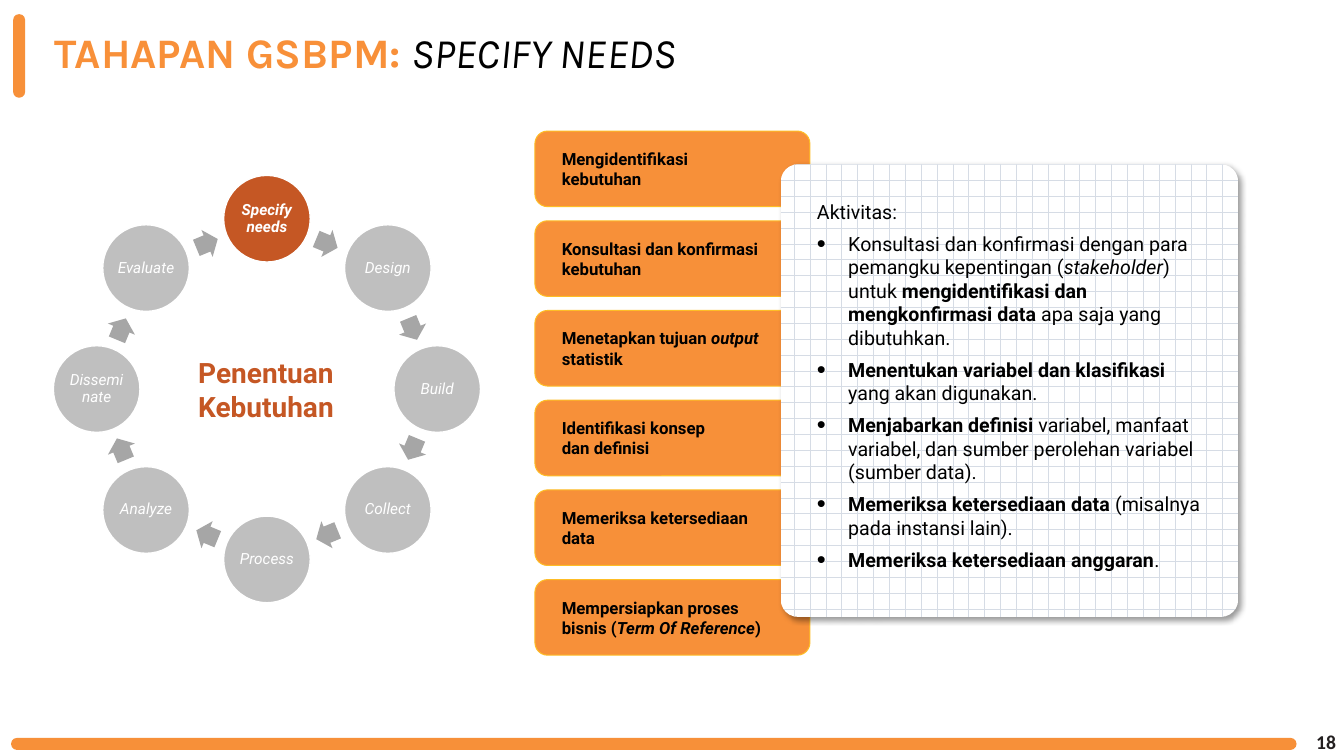
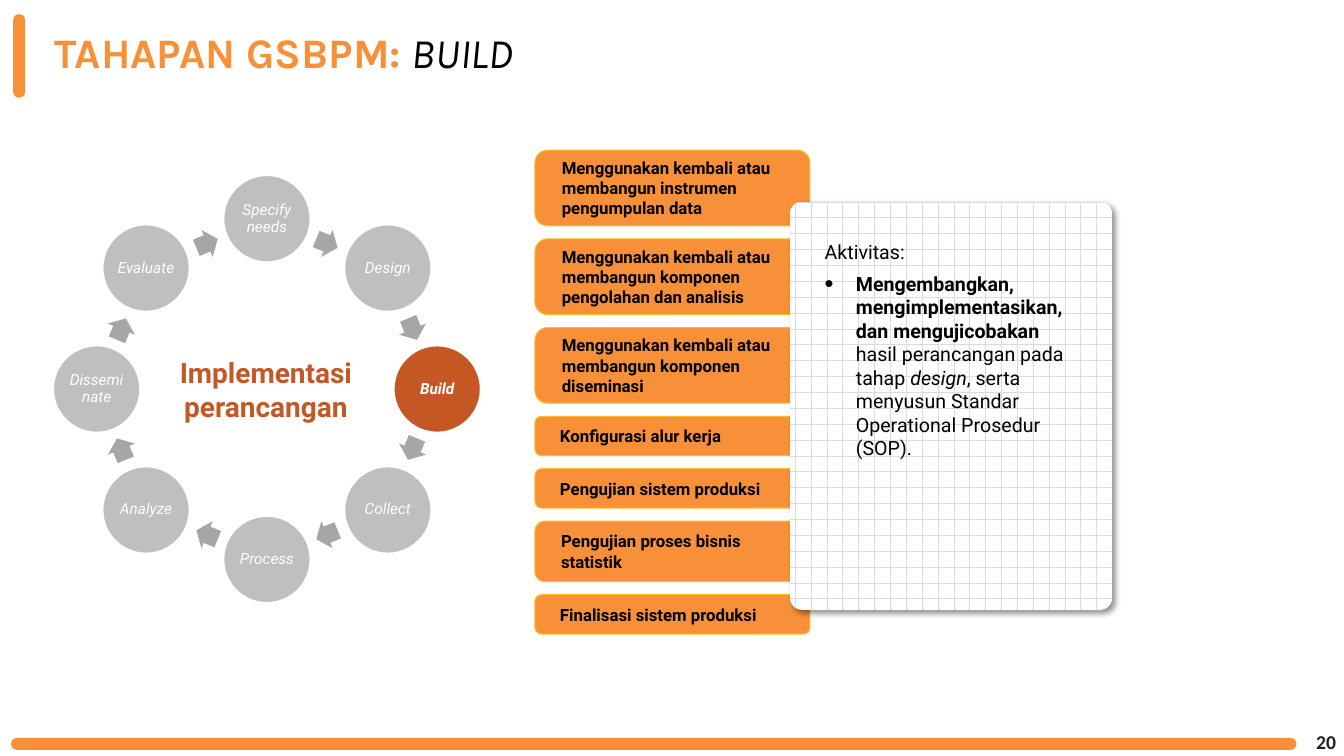
from dataclasses import dataclass
from math import cos, radians, sin
from typing import NamedTuple

from lxml.etree import SubElement
from pptx import Presentation
from pptx.dml.color import RGBColor
from pptx.enum.dml import MSO_PATTERN
from pptx.enum.shapes import MSO_SHAPE as Preset
from pptx.enum.text import MSO_ANCHOR as Anchor, MSO_AUTO_SIZE as AutoSize, PP_ALIGN as Align
from pptx.oxml.ns import qn
from pptx.util import Pt

PX = 9144  # EMU in one px, 100 px to the inch

ORANGE, TITLE_ORANGE, GOLD, RUST = "F79039", "F89039", "FEBD26", "C55724"
CIRCLE_GREY, ARROW_GREY, GRID_GREY = "BFBFBF", "A6A6A6", "D6DCE5"
WHITE, BLACK, INK = "FFFFFF", "000000", "231F20"
BODY_FONT, TITLE_FONT, NUMBER_FONT = "Roboto", "Karla", "Calibri"

PHASES = ["Specify needs", "Design", "Build", "Collect",
          "Process", "Analyze", "Disseminate", "Evaluate"]


class Box(NamedTuple):
    left: int
    top: int
    width: int
    height: int


class Run(NamedTuple):
    text: str
    bold: bool = False
    italic: bool = False


Line = list[Run]


class Stage(NamedTuple):
    lines: list[Line]
    height: int = 75


@dataclass
class PhasePage:
    phase: str
    meaning: str
    number: str
    stages_top: int
    stages_gap: int
    stages: list[Stage]
    panel: Box
    panel_inset_top: int
    activities: list[Line]


def bold(text: str) -> Run:
    return Run(text, bold=True)


def bold_lines(*texts: str) -> list[Line]:
    return [[bold(text)] for text in texts]


def colour(value: str) -> RGBColor:
    return RGBColor.from_string(value)


def emu(box: Box) -> list[int]:
    return [length * PX for length in box]


# Text and shape helpers
def set_frame(shape, insets: tuple[int, int, int, int] = (10, 5, 10, 5), anchor=Anchor.MIDDLE):
    frame = shape.text_frame
    frame.word_wrap = True
    frame.auto_size = AutoSize.NONE
    frame.vertical_anchor = anchor
    (frame.margin_left, frame.margin_top,
     frame.margin_right, frame.margin_bottom) = (inset * PX for inset in insets)
    return frame


def write_lines(frame, lines: list[Line], size: int, text_colour: str = BLACK,
                font: str = BODY_FONT, align=Align.LEFT) -> None:
    for index, line in enumerate(lines):
        paragraph = frame.add_paragraph() if index else frame.paragraphs[0]
        paragraph.alignment = align
        for part in line:
            run = paragraph.add_run()
            run.text = part.text
            run.font.name = font
            run.font.size = Pt(size)
            run.font.bold = part.bold
            run.font.italic = part.italic
            run.font.color.rgb = colour(text_colour)


def add_preset(slide, preset, box: Box, fill: str, adjust: tuple[float, ...] = (),
               line: str = "", line_width: float = 1):
    shape = slide.shapes.add_shape(preset, *emu(box))
    shape.shadow.inherit = False
    shape.fill.solid()
    shape.fill.fore_color.rgb = colour(fill)
    for index, value in enumerate(adjust):
        shape.adjustments[index] = value
    if line:
        shape.line.color.rgb = colour(line)
        shape.line.width = Pt(line_width)
    else:
        shape.line.fill.background()
    return shape


def add_bullet(paragraph) -> None:
    properties = paragraph._p.get_or_add_pPr()
    properties.set("marL", str(31 * PX))
    properties.set("indent", str(-31 * PX))
    bullet_colour = SubElement(properties, qn("a:buClr"))
    SubElement(bullet_colour, qn("a:srgbClr"), val=BLACK)
    SubElement(properties, qn("a:buSzPct"), val="130000")
    SubElement(properties, qn("a:buFont"), typeface="Arial")
    SubElement(properties, qn("a:buChar"), char="•")


def add_soft_shadow(shape) -> None:
    effects = shape.element.spPr.find(qn("a:effectLst"))
    shadow = SubElement(effects, qn("a:outerShdw"), blurRad=str(Pt(4)), dist=str(Pt(3)),
                        dir=str(45 * 60000), algn="tl", rotWithShape="0")
    tint = SubElement(shadow, qn("a:srgbClr"), val=BLACK)
    SubElement(tint, qn("a:alpha"), val="40000")


# Parts of the slides
def move_bands_to_layout(slide) -> None:
    for box in (Box(11, 732, 1276, 12), Box(13, 14, 12, 83)):
        band = add_preset(slide, Preset.ROUNDED_RECTANGLE, box, ORANGE, (0.5,))
        slide.slide_layout.shapes.element.append(band.element)


def write_title(slide, phase: str) -> None:
    title = slide.shapes.title
    title.left, title.top, title.width, title.height = emu(Box(44, 22, 1130, 59))
    frame = set_frame(title)
    write_lines(frame, [[bold("TAHAPAN GSBPM: "), Run(phase.upper(), italic=True)]],
                30, font=TITLE_FONT)
    frame.paragraphs[0].runs[0].font.color.rgb = colour(TITLE_ORANGE)


def add_label(slide, box: Box, text: str, size: int, text_colour: str,
              font: str, align) -> None:
    label = slide.shapes.add_textbox(*emu(box))
    write_lines(set_frame(label), [[bold(text)]], size, text_colour, font, align)


def around(angle: float, radius: int, width: int, height: int) -> Box:
    """Box centred on the cycle's ring, with the angle clockwise from the top."""
    x = 265 + radius * sin(radians(angle))
    y = 386 - radius * cos(radians(angle))
    return Box(round(x - width / 2), round(y - height / 2), width, height)


def add_cycle(slide, page: PhasePage) -> None:
    step = 360 / len(PHASES)
    for index, phase in enumerate(PHASES):
        current = phase == page.phase
        circle = add_preset(slide, Preset.OVAL, around(index * step, 169, 86, 86),
                            RUST if current else CIRCLE_GREY, line=WHITE)
        frame = set_frame(circle, (2, 2, 2, 2))
        write_lines(frame, [[Run(phase, current, True)]], 11, WHITE, align=Align.CENTER)
        frame.paragraphs[0].line_spacing = 0.9

        heading = (index + 0.5) * step
        arrow = add_preset(slide, Preset.RIGHT_ARROW, around(heading, 156, 23, 29),
                           ARROW_GREY, (0.6, 0.5))
        arrow.rotation = heading
    add_label(slide, Box(142, 347, 244, 78), page.meaning, 20, RUST, BODY_FONT, Align.CENTER)


def add_stages(slide, page: PhasePage) -> None:
    top = page.stages_top
    for stage in page.stages:
        card = add_preset(slide, Preset.ROUNDED_RECTANGLE, Box(531, top, 273, stage.height),
                          ORANGE, (0.167,), GOLD, 0.75)
        write_lines(set_frame(card, (23, 0, 24, 0)), stage.lines, 12)
        top += stage.height + page.stages_gap


def add_activities(slide, page: PhasePage) -> None:
    panel = add_preset(slide, Preset.ROUNDED_RECTANGLE, page.panel, WHITE, (0.038,))
    panel.fill.patterned()
    panel.fill.pattern = MSO_PATTERN.DOTTED_GRID
    panel.fill.fore_color.rgb = colour(GRID_GREY)
    panel.fill.back_color.rgb = colour(WHITE)
    add_soft_shadow(panel)
    frame = set_frame(panel, (31, page.panel_inset_top, 30, 5), Anchor.TOP)
    write_lines(frame, [[Run("Aktivitas:")], *page.activities], 14)
    for index, paragraph in enumerate(frame.paragraphs):
        if index:
            add_bullet(paragraph)
        paragraph.space_after = Pt(6)


# Content
PAGES = [
    PhasePage(
        "Specify needs", "Penentuan Kebutuhan", "18", stages_top=130, stages_gap=14,
        stages=[
            Stage(bold_lines("Mengidentifikasi", "kebutuhan")),
            Stage(bold_lines("Konsultasi dan konfirmasi kebutuhan")),
            Stage([[bold("Menetapkan tujuan "), Run("output ", True, True), bold("statistik")]]),
            Stage(bold_lines("Identifikasi konsep", "dan definisi")),
            Stage(bold_lines("Memeriksa ketersediaan data")),
            Stage([[bold("Mempersiapkan proses bisnis ("),
                    Run("Term Of Reference", True, True), bold(")")]]),
        ],
        panel=Box(775, 163, 454, 449), panel_inset_top=30,
        activities=[
            [Run("Konsultasi dan konfirmasi dengan para pemangku kepentingan ("),
             Run("stakeholder", italic=True), Run(") untuk "),
             bold("mengidentifikasi dan mengkonfirmasi data"),
             Run(" apa saja yang dibutuhkan.")],
            [bold("Menentukan variabel dan klasifikasi "), Run("yang akan digunakan.")],
            [bold("Menjabarkan definisi "),
             Run("variabel, manfaat variabel, dan sumber perolehan variabel (sumber data).")],
            [bold("Memeriksa ketersediaan data "), Run("(misalnya pada instansi lain).")],
            [bold("Memeriksa ketersediaan anggaran"), Run(".")],
        ]),
    PhasePage(
        "Build", "Implementasi perancangan", "20", stages_top=149, stages_gap=13,
        stages=[
            Stage(bold_lines("Menggunakan kembali atau membangun instrumen pengumpulan data")),
            Stage(bold_lines(
                "Menggunakan kembali atau membangun komponen pengolahan dan analisis")),
            Stage(bold_lines("Menggunakan kembali atau membangun komponen diseminasi")),
            Stage(bold_lines("Konfigurasi alur kerja"), 39),
            Stage(bold_lines("Pengujian sistem produksi"), 39),
            Stage(bold_lines("Pengujian proses bisnis statistik"), 60),
            Stage(bold_lines("Finalisasi sistem produksi"), 39),
        ],
        panel=Box(784, 200, 320, 405), panel_inset_top=34,
        activities=[
            [bold("Mengembangkan, mengimplementasikan, dan mengujicobakan "),
             Run("hasil perancangan pada tahap "), Run("design", italic=True),
             Run(", serta menyusun Standar Operational Prosedur (SOP).")],
        ]),
]


def main() -> None:
    deck = Presentation()
    deck.slide_width, deck.slide_height = 1334 * PX, 750 * PX
    title_only = deck.slide_layouts[5]
    for index, page in enumerate(PAGES):
        slide = deck.slides.add_slide(title_only)
        if index == 0:
            move_bands_to_layout(slide)
        write_title(slide, page.phase)
        add_cycle(slide, page)
        add_stages(slide, page)
        add_activities(slide, page)
        add_label(slide, Box(1288, 716, 48, 40), page.number, 14, INK, NUMBER_FONT, Align.RIGHT)
    deck.save("out.pptx")


if __name__ == "__main__":
    main()
